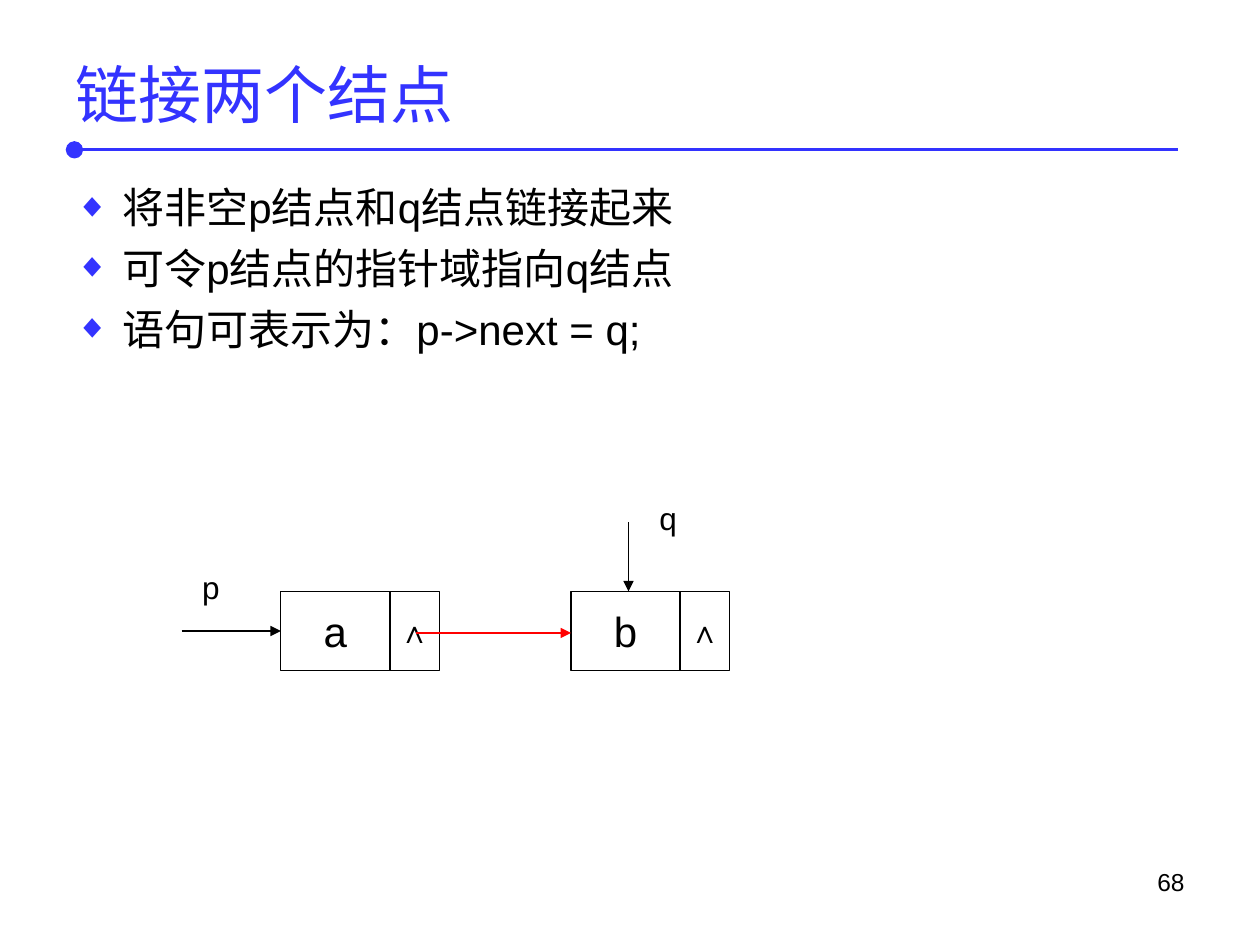
from lxml import etree
from pptx import Presentation
from pptx.dml.color import RGBColor
from pptx.enum.shapes import MSO_CONNECTOR, MSO_SHAPE
from pptx.enum.text import MSO_ANCHOR, PP_ALIGN
from pptx.oxml.ns import qn
from pptx.util import Cm, Pt

BLUE, BLACK, RED = "3333FF", "000000", "FF0000"
NODE_WIDTH, NODE_HEIGHT, DATA_WIDTH = 3.2, 1.6, 2.2


def colour(value):
    return RGBColor.from_string(value)


def write(shape, lines, size, tint=BLACK, align=PP_ALIGN.LEFT, anchor=MSO_ANCHOR.TOP, wrap=True):
    frame = shape.text_frame
    frame.text = "\n".join(lines)
    frame.word_wrap = wrap
    frame.vertical_anchor = anchor
    for para in frame.paragraphs:
        para.alignment = align
        for span in para.runs:
            span.font.size = Pt(size)
            span.font.name = "Arial"
            span.font.color.rgb = colour(tint)
    return frame


def add_text(page, box, lines, size, **style):
    return write(page.shapes.add_textbox(*map(Cm, box)), lines, size, **style)


def add_line(page, start, end, tint=BLACK, width=0.74, ending="tailEnd", kind="triangle", scale="med"):
    line = page.shapes.add_connector(MSO_CONNECTOR.STRAIGHT, *map(Cm, start + end))
    line.line.color.rgb = colour(tint)
    line.line.width = Pt(width)
    properties = line._element.spPr
    etree.SubElement(properties.find(qn("a:ln")), qn("a:" + ending), type=kind, w=scale, len=scale)
    etree.SubElement(properties, qn("a:effectLst"))


def add_bullet(para):
    properties = para._p.get_or_add_pPr()
    properties.set("marL", str(Cm(0.95)))
    properties.set("indent", str(Cm(-0.95)))
    tint = etree.SubElement(properties, qn("a:buClr"))
    etree.SubElement(tint, qn("a:srgbClr"), val=BLUE)
    etree.SubElement(properties, qn("a:buSzPct"), val="80000")
    etree.SubElement(properties, qn("a:buFont"), typeface="Arial")
    etree.SubElement(properties, qn("a:buChar"), char="◆")


def add_heading(page, left, top, width, height, title):
    rule = top + height + 0.02
    add_line(page, (left + 0.23, rule), (left + width - 0.38, rule), BLUE, 1.5, "headEnd", "oval", "lg")
    add_text(page, (left, top, width, height), [title], 36, tint=BLUE, anchor=MSO_ANCHOR.MIDDLE)


def add_points(page, left, top, width, height, points):
    frame = add_text(page, (left, top, width, height), points, 24)
    for para in frame.paragraphs:
        para.space_before = Pt(6)
        add_bullet(para)


def add_node(page, left, top, value):
    cells = [(left, DATA_WIDTH, value, 24), (left + DATA_WIDTH, NODE_WIDTH - DATA_WIDTH, "∧", 18)]
    for cell_left, width, text, size in cells:
        cell = page.shapes.add_shape(MSO_SHAPE.RECTANGLE, Cm(cell_left), Cm(top), Cm(width), Cm(NODE_HEIGHT))
        cell.shadow.inherit = False
        cell.fill.background()
        cell.line.color.rgb = colour(BLACK)
        cell.line.width = Pt(0.74)
        write(cell, [text], size, align=PP_ALIGN.CENTER, anchor=MSO_ANCHOR.MIDDLE, wrap=False)


def add_linked_nodes(page, left, top, gap):
    second = left + NODE_WIDTH + gap
    middle = top + NODE_HEIGHT / 2
    pointer = second + 1.16
    add_node(page, left, top, "a")
    add_node(page, second, top, "b")
    add_line(page, (left - 2, middle), (left, middle))
    add_line(page, (pointer, top - 1.39), (pointer, top))
    add_line(page, (left + 2.72, middle + 0.04), (second, middle + 0.04), RED, 1.5)
    for name, label_left, label_top in [("p", left - 2.21, top - 0.78), ("q", pointer, top - 2.18)]:
        add_text(page, (label_left, label_top, 1.6, 1.4), [name], 18,
                 align=PP_ALIGN.CENTER, anchor=MSO_ANCHOR.MIDDLE, wrap=False)


def add_page_number(page, left, top, width, height, number):
    add_text(page, (left, top, width, height), [number], 14, align=PP_ALIGN.RIGHT)


deck = Presentation()
deck.slide_width, deck.slide_height = Cm(25.4), Cm(19.05)
page = deck.slides.add_slide(deck.slide_layouts[6])
add_heading(page, 1.27, 0.76, 22.86, 2.24, "链接两个结点")
add_points(page, 1.27, 3.53, 22.86, 5.72, [
    "将非空p结点和q结点链接起来",
    "可令p结点的指针域指向q结点",
    "语句可表示为：p->next = q;",
])
add_linked_nodes(page, 5.66, 11.92, 2.65)
add_page_number(page, 18.21, 17.35, 5.92, 1.32, "68")
deck.save("out.pptx")
